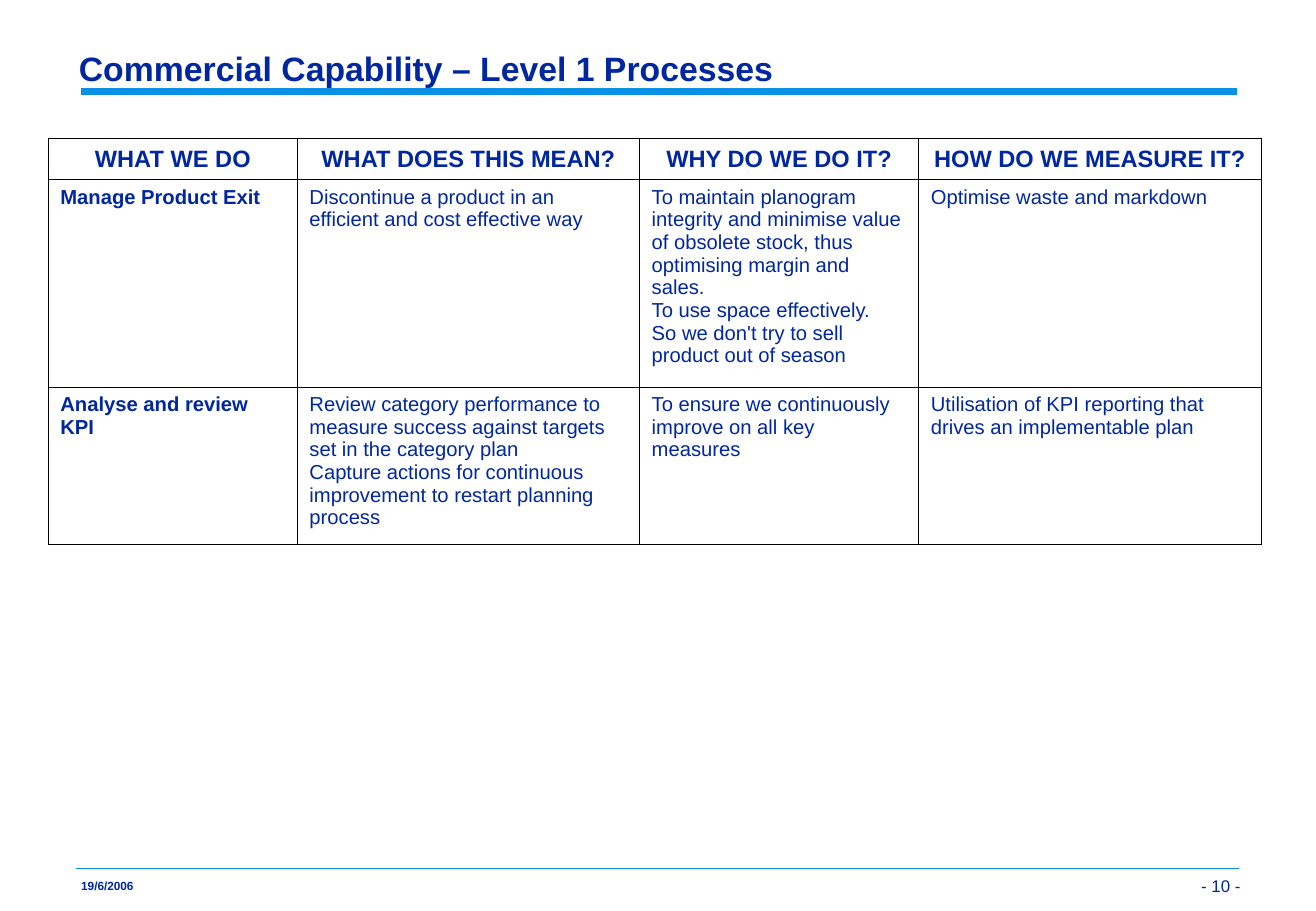
"""Build the Commercial Capability slide: a title, a process table and a footer."""
from copy import deepcopy
from dataclasses import dataclass

from lxml import etree
from pptx import Presentation
from pptx.dml.color import RGBColor
from pptx.enum.shapes import MSO_CONNECTOR
from pptx.enum.text import MSO_ANCHOR, MSO_AUTO_SIZE, PP_ALIGN
from pptx.oxml.ns import qn
from pptx.slide import Slide
from pptx.table import _Cell
from pptx.text.text import TextFrame
from pptx.util import Cm, Pt

STRAIGHT = MSO_CONNECTOR.STRAIGHT
TOP, MIDDLE, BOTTOM = MSO_ANCHOR.TOP, MSO_ANCHOR.MIDDLE, MSO_ANCHOR.BOTTOM
LEFT, CENTER, RIGHT = PP_ALIGN.LEFT, PP_ALIGN.CENTER, PP_ALIGN.RIGHT
NO_AUTOFIT = MSO_AUTO_SIZE.NONE
TITLE_ONLY = 5


@dataclass(frozen=True)
class Theme:
    font: str = "Arial"
    navy: RGBColor = RGBColor(0x00, 0x27, 0x9F)
    sky: RGBColor = RGBColor(0x0A, 0x91, 0xE6)
    white: RGBColor = RGBColor(0xFF, 0xFF, 0xFF)
    border: str = "000000"
    border_width: float = 0.45
    title_size: float = 20
    header_size: float = 14
    body_size: float = 12
    page_size: float = 10
    date_size: float = 7


@dataclass(frozen=True)
class Rule:
    left: float
    right: float
    y: float
    weight: float


@dataclass(frozen=True)
class Process:
    what: str
    meaning: str
    reason: str
    measure: str


@dataclass(frozen=True)
class FooterNote:
    text: str
    box: tuple[float, float, float, float]
    insets: tuple[float, float]
    size: float
    bold: bool
    align: PP_ALIGN
    anchor: MSO_ANCHOR
    wrap: bool
    spacing: float


THEME = Theme()
TITLE = "Commercial Capability – Level 1 Processes"
TITLE_BOX = (1.47, 0.84, 24.46, 1.12)
TEXT_INSETS = (0.18, 0.08)
RULES = (Rule(1.7, 25.88, 1.91, 4), Rule(1.6, 25.91, 18.16, 1))
FOOTER = (
    FooterNote("- 10 -", (24.61, 17.83, 1.52, 0.99), TEXT_INSETS,
               THEME.page_size, False, RIGHT, BOTTOM, True, 1.0),
    FooterNote("19/6/2006", (1.7, 18.41, 1.09, 0.28), (0, 0),
               THEME.date_size, True, LEFT, TOP, False, 0.9),
)
TABLE_ORIGIN = (1.01, 2.9)
COLUMN_WIDTHS = (5.21, 7.16, 5.84, 7.16)
ROW_HEIGHTS = (0.86, 4.33, 3.3)
HEADINGS = Process("WHAT WE DO", "WHAT DOES THIS MEAN?", "WHY DO WE DO IT?",
                   "HOW DO WE MEASURE IT?")
PROCESSES = (
    Process(
        "Manage Product Exit",
        "Discontinue a product in an efficient and cost effective way",
        "To maintain planogram integrity and minimise value of obsolete stock, "
        "thus optimising margin and sales.\nTo use space effectively.\n"
        "So we don't try to sell product out of season",
        "Optimise waste and markdown",
    ),
    Process(
        "Analyse and review KPI",
        "Review category performance to\nmeasure success against targets set in "
        "the category plan\nCapture actions for continuous improvement to "
        "restart planning process",
        "To ensure we continuously improve on all key measures",
        "Utilisation of KPI reporting that drives an implementable plan",
    ),
)


def write_text(frame: TextFrame, text: str, *, size: float, bold: bool = False,
               align: PP_ALIGN = LEFT, spacing: float = 1.0) -> None:
    paragraph = frame.paragraphs[0]
    paragraph.text = text
    paragraph.alignment = align
    paragraph.line_spacing = spacing
    paragraph.space_before = Pt(0)
    for run in paragraph.runs:
        run.font.name = THEME.font
        run.font.size = Pt(size)
        run.font.bold = bold
        run.font.color.rgb = THEME.navy
    for line_break in paragraph._p.findall(qn("a:br")):
        line_break.insert(0, deepcopy(paragraph.runs[0]._r.rPr))


def set_frame(frame: TextFrame, insets: tuple[float, float], anchor: MSO_ANCHOR,
              wrap: bool = True) -> None:
    frame.auto_size = NO_AUTOFIT
    frame.word_wrap = wrap
    frame.vertical_anchor = anchor
    frame.margin_left = frame.margin_right = Cm(insets[0])
    frame.margin_top = frame.margin_bottom = Cm(insets[1])


def draw_rule(slide: Slide, rule: Rule) -> None:
    connector = slide.shapes.add_connector(
        STRAIGHT, Cm(rule.left), Cm(rule.y), Cm(rule.right), Cm(rule.y))
    connector.line.color.rgb = THEME.sky
    connector.line.width = Pt(rule.weight)
    etree.SubElement(connector._element.spPr, qn("a:effectLst"))


def draw_title(slide: Slide) -> None:
    title = slide.shapes.title
    title.left, title.top, title.width, title.height = map(Cm, TITLE_BOX)
    set_frame(title.text_frame, TEXT_INSETS, BOTTOM)
    write_text(title.text_frame, TITLE, size=THEME.title_size, bold=True, spacing=0.97)


def draw_footer_note(slide: Slide, note: FooterNote) -> None:
    frame = slide.shapes.add_textbox(*map(Cm, note.box)).text_frame
    set_frame(frame, note.insets, note.anchor, note.wrap)
    write_text(frame, note.text, size=note.size, bold=note.bold,
               align=note.align, spacing=note.spacing)


def style_cell(cell: _Cell) -> None:
    cell.fill.solid()
    cell.fill.fore_color.rgb = THEME.white
    properties = cell._tc.get_or_add_tcPr()
    for position, side in enumerate(("lnL", "lnR", "lnT", "lnB")):
        edge = etree.Element(qn(f"a:{side}"), w=str(Pt(THEME.border_width)))
        fill = etree.SubElement(edge, qn("a:solidFill"))
        etree.SubElement(fill, qn("a:srgbClr"), val=THEME.border)
        properties.insert(position, edge)


def draw_process_table(slide: Slide) -> None:
    rows = (HEADINGS, *PROCESSES)
    table = slide.shapes.add_table(
        len(rows), len(COLUMN_WIDTHS), *map(Cm, TABLE_ORIGIN),
        Cm(sum(COLUMN_WIDTHS)), Cm(sum(ROW_HEIGHTS))).table
    table.first_row = table.horz_banding = False
    for column, width in zip(table.columns, COLUMN_WIDTHS):
        column.width = Cm(width)
    for row_index, (process, height) in enumerate(zip(rows, ROW_HEIGHTS)):
        table.rows[row_index].height = Cm(height)
        heading = process is HEADINGS
        entries = (process.what, process.meaning, process.reason, process.measure)
        for column_index, entry in enumerate(entries):
            cell = table.cell(row_index, column_index)
            style_cell(cell)
            cell.vertical_anchor = MIDDLE if heading else TOP
            write_text(cell.text_frame, entry,
                       size=THEME.header_size if heading else THEME.body_size,
                       bold=heading or column_index == 0,
                       align=CENTER if heading else LEFT)


def main() -> None:
    presentation = Presentation()
    presentation.slide_width, presentation.slide_height = Cm(27.53), Cm(19.05)
    slide = presentation.slides.add_slide(presentation.slide_layouts[TITLE_ONLY])
    for rule in RULES:
        draw_rule(slide, rule)
    for note in FOOTER:
        draw_footer_note(slide, note)
    draw_title(slide)
    draw_process_table(slide)
    presentation.save("out.pptx")


if __name__ == "__main__":
    main()
